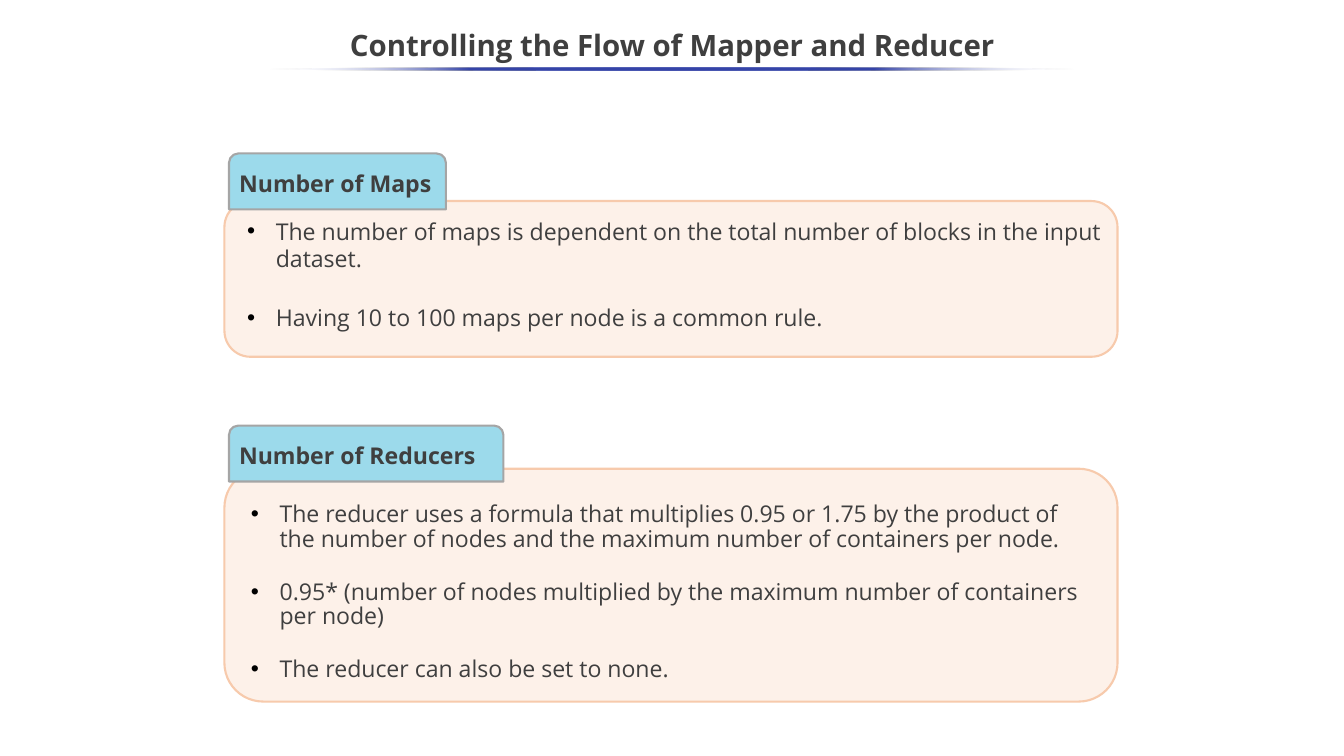
from lxml.etree import SubElement
from pptx import Presentation
from pptx.dml.color import RGBColor
from pptx.enum.shapes import MSO_SHAPE
from pptx.enum.text import MSO_ANCHOR, PP_ALIGN
from pptx.oxml import parse_xml
from pptx.oxml.ns import nsdecls, qn
from pptx.util import Inches, Pt

WIDTH, HEIGHT = 17.78, 10
COL, ROW = WIDTH / 100, HEIGHT / 100
FONT, INK = "Open Sans", "3F3F3F"
BODY_SIZE, LINE_HEIGHT = 22, 1.36
SECTION_LEFT, SECTION_WIDTH = 16.7, 66.45

SECTIONS = [
    {
        "box": (SECTION_LEFT, 20.3, SECTION_WIDTH, 26.9),
        "heading": "Number of Maps", "tab_cols": 16.14, "overlap": 1.1,
        "spacing": 1.0, "top_inset": 0.11,
        "bullets": [
            "The number of maps is dependent on the total number of blocks in the input dataset.",
            "Having 10 to 100 maps per node is a common rule.",
        ],
    },
    {
        "box": (SECTION_LEFT, 56.3, SECTION_WIDTH, 36.5),
        "heading": "Number of Reducers", "tab_cols": 20.42, "overlap": 1.7,
        "spacing": 0.89, "top_inset": 0.3,
        "bullets": [
            "The reducer uses a formula that multiplies 0.95 or 1.75 by the product of the "
            "number of nodes and the maximum number of containers per node.",
            "0.95* (number of nodes multiplied by the maximum number of containers per node)",
            "The reducer can also be set to none.",
        ],
    },
]


def color(value):
    """Return the colour for a hex string."""
    return RGBColor.from_string(value)


def place(box):
    """Turn a box in grid columns and rows into slide lengths."""
    x, y, w, h = box
    return Inches(x * COL), Inches(y * ROW), Inches(w * COL), Inches(h * ROW)


def add_block(s, kind, box, fill, line):
    """Add a filled and outlined shape."""
    sp = s.shapes.add_shape(kind, *place(box))
    sp.shadow.inherit = False
    sp.fill.solid()
    sp.fill.fore_color.rgb = color(fill)
    sp.line.color.rgb = color(line)
    sp.line.width = Pt(2)
    return sp


def set_frame(sp, insets, anchor):
    """Set wrapping, insets in inches and anchor, and return the text frame."""
    tf = sp.text_frame
    tf.word_wrap = True
    tf.vertical_anchor = anchor
    tf.margin_left, tf.margin_top, tf.margin_right, tf.margin_bottom = map(Inches, insets)
    return tf


def add_run(p, text, size=BODY_SIZE, bold=False):
    """Add one run of text to a paragraph."""
    r = p.add_run()
    r.text = text
    r.font.name, r.font.size, r.font.bold = FONT, Pt(size), bold
    r.font.color.rgb = color(INK)


def set_bullet(p):
    """Give a paragraph a black round bullet with a hanging indent."""
    pPr = p._p.get_or_add_pPr()
    pPr.set("marL", str(Inches(0.58)))
    pPr.set("indent", str(Inches(-0.38)))
    SubElement(SubElement(pPr, qn("a:buClr")), qn("a:srgbClr")).set("val", "000000")
    SubElement(pPr, qn("a:buFont")).set("typeface", "Arial")
    SubElement(pPr, qn("a:buChar")).set("char", "•")


def set_fading_fill(sp, hue):
    """Fill a shape with a colour that fades out at both ends."""
    clear = '<a:srgbClr val="FFFFFF"><a:alpha val="0"/></a:srgbClr>'
    solid = f'<a:srgbClr val="{hue}"/>'
    stops = zip((0, 25, 50, 75, 100), (clear, solid, solid, solid, clear))
    gs = "".join(f'<a:gs pos="{pos * 1000}">{c}</a:gs>' for pos, c in stops)
    grad = parse_xml(f'<a:gradFill {nsdecls("a")} rotWithShape="1"><a:gsLst>{gs}</a:gsLst>'
                     '<a:lin ang="10800000" scaled="0"/></a:gradFill>')
    sp.fill.background()
    spPr = sp._element.spPr
    spPr.replace(spPr.find(qn("a:noFill")), grad)


def add_title(s, box, text):
    """Add the centred title and the fading rule beneath it."""
    x, y, w, h = box
    tf = set_frame(s.shapes.add_textbox(*place(box)), (0.1, 0.05, 0.1, 0.05), MSO_ANCHOR.MIDDLE)
    p = tf.paragraphs[0]
    p.alignment, p.line_spacing = PP_ALIGN.CENTER, 0.9
    add_run(p, text, 28, True)
    rule = s.shapes.add_shape(MSO_SHAPE.OVAL, *place((x + w * 0.2, y + 6.4, w * 0.6, 0.4)))
    rule.shadow.inherit = False
    set_fading_fill(rule, "3645A9")
    rule.line.fill.background()


def add_section(s, box, heading, tab_cols, overlap, spacing, top_inset, bullets):
    """Add a bulleted panel with a heading tab over its top edge."""
    x, y, w, h = box
    tab_rows = 7.4
    drop = tab_rows - overlap
    panel = add_block(s, MSO_SHAPE.ROUNDED_RECTANGLE, (x, y + drop, w, h - drop),
                      "FDF1E9", "F7CAAC")
    tf = set_frame(panel, (0, top_inset, 0.1, 0), MSO_ANCHOR.TOP)
    for i, text in enumerate(bullets):
        p = tf.add_paragraph() if i else tf.paragraphs[0]
        p.alignment, p.line_spacing = PP_ALIGN.LEFT, spacing
        if i:
            p.space_before = Pt(round(BODY_SIZE * LINE_HEIGHT * spacing))
        set_bullet(p)
        add_run(p, text)

    tab = add_block(s, MSO_SHAPE.ROUND_2_SAME_RECTANGLE, (x + 0.34, y, tab_cols, tab_rows),
                    "9CDAEB", "A5A5A5")
    p = set_frame(tab, (0.1, 0.15, 0.1, 0.15), MSO_ANCHOR.MIDDLE).paragraphs[0]
    p.alignment = PP_ALIGN.LEFT
    add_run(p, heading, bold=True)


def main():
    """Build the slide and save it."""
    prs = Presentation()
    prs.slide_width, prs.slide_height = Inches(WIDTH), Inches(HEIGHT)
    s = prs.slides.add_slide(prs.slide_layouts[6])
    add_title(s, (0, 2.5, 100, 7.5), "Controlling the Flow of Mapper and Reducer")
    for section in SECTIONS:
        add_section(s, **section)
    prs.save("out.pptx")


if __name__ == "__main__":
    main()
